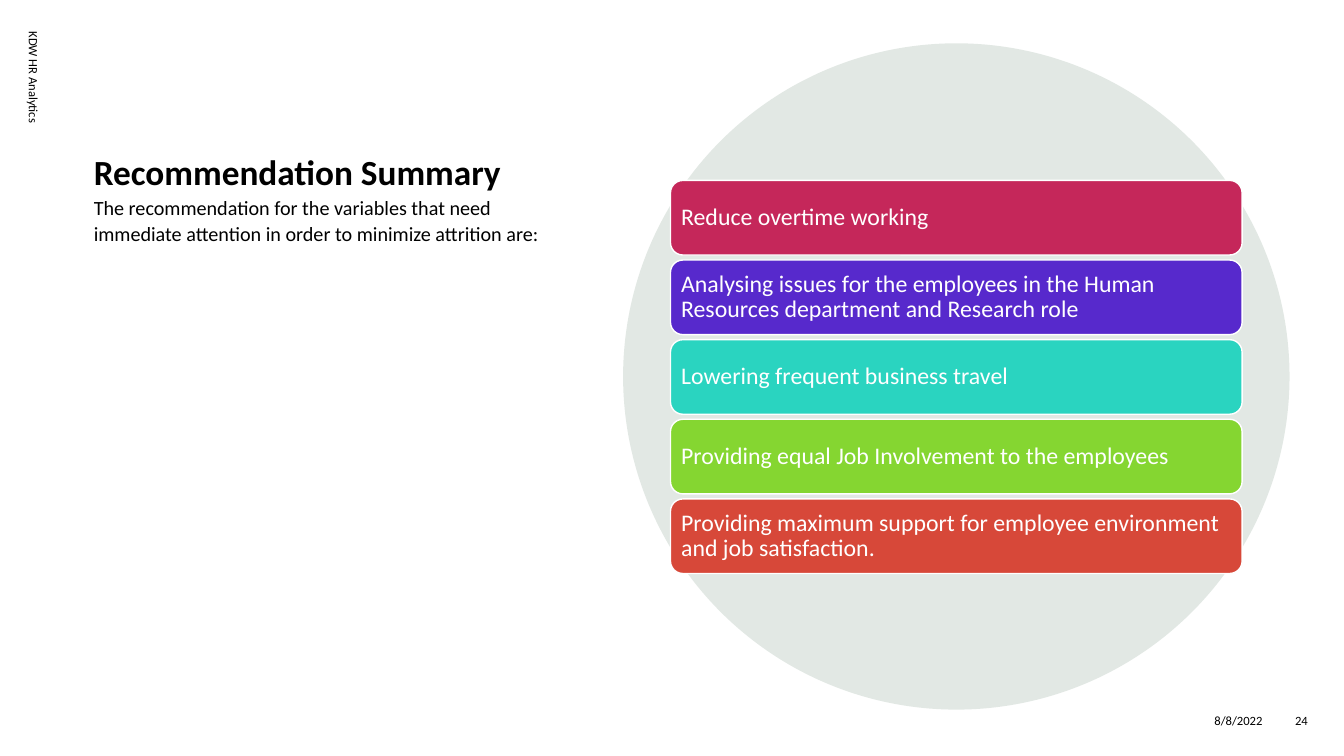
"""Build the recommendation summary slide."""
from pptx import Presentation
from pptx.dml.color import RGBColor
from pptx.enum import shapes, text
from pptx.util import Inches, Pt


def colour(value):
    return RGBColor.from_string(value)


def format_text(para, size, value, bold=False):
    for span in para.runs:
        span.font.name = "Calibri"
        span.font.size = Pt(size)
        span.font.bold = bold
        span.font.color.rgb = colour(value)


deck = Presentation()
deck.slide_width = Inches(13.33)
deck.slide_height = Inches(7.5)
page = deck.slides.add_slide(deck.slide_layouts[5])

title = page.shapes.title
title.left, title.top = Inches(0.83), Inches(0.43)
title.width, title.height = Inches(4.66), Inches(2.47)
frame = title.text_frame
frame.text = (
    "Recommendation Summary\n"
    "The recommendation for the variables that need immediate attention "
    "in order to minimize attrition are:"
)
frame.word_wrap = True
frame.auto_size = text.MSO_AUTO_SIZE.NONE
frame.vertical_anchor = text.MSO_ANCHOR.BOTTOM
frame.margin_bottom = Inches(0.46)
for para, size, bold in zip(frame.paragraphs, (25.2, 14.4), (True, False)):
    para.alignment = text.PP_ALIGN.LEFT
    para.line_spacing = 1.1
    para.space_before = Pt(0)
    format_text(para, size, "000000", bold)

circle = page.shapes.add_shape(
    shapes.MSO_SHAPE.OVAL, Inches(6.18), Inches(0.43), Inches(6.61), Inches(6.61)
)
circle.shadow.inherit = False
circle.fill.solid()
circle.fill.fore_color.rgb = colour("E2E8E4")
circle.line.fill.background()

footers = [
    ("KDW HR Analytics", -1.76, 2.11, 4.19, 90, text.PP_ALIGN.LEFT),
    ("8/8/2022", 10.11, 6.95, 2.51, 0, text.PP_ALIGN.RIGHT),
    ("24", 12.62, 6.95, 0.45, 0, text.PP_ALIGN.RIGHT),
]
for words, left, top, width, rotation, alignment in footers:
    box = page.shapes.add_textbox(Inches(left), Inches(top), Inches(width), Inches(0.4))
    box.rotation = rotation
    frame = box.text_frame
    frame.text = words
    frame.word_wrap = True
    frame.vertical_anchor = text.MSO_ANCHOR.MIDDLE
    para = frame.paragraphs[0]
    para.alignment = alignment
    para.space_after = Pt(6)
    format_text(para, 9, "000000")

recommendations = [
    ("Reduce overtime working", "C5275A"),
    ("Analysing issues for the employees in the Human Resources department and Research role", "5729CC"),
    ("Lowering frequent business travel", "2AD4C0"),
    ("Providing equal Job Involvement to the employees", "85D631"),
    ("Providing maximum support for employee environment and job satisfaction.", "D74839"),
]
bar_top, bar_height, bar_gap = 1.79, 0.74, 0.05
for index, (words, fill) in enumerate(recommendations):
    top = bar_top + index * (bar_height + bar_gap)
    bar = page.shapes.add_shape(
        shapes.MSO_SHAPE.ROUNDED_RECTANGLE,
        Inches(6.65), Inches(top), Inches(5.67), Inches(bar_height),
    )
    bar.shadow.inherit = False
    bar.fill.solid()
    bar.fill.fore_color.rgb = colour(fill)
    bar.line.color.rgb = colour("FFFFFF")
    bar.line.width = Pt(1)
    frame = bar.text_frame
    frame.text = words
    frame.word_wrap = True
    frame.vertical_anchor = text.MSO_ANCHOR.MIDDLE
    frame.margin_left = frame.margin_right = Inches(0.07)
    para = frame.paragraphs[0]
    para.alignment = text.PP_ALIGN.LEFT
    para.line_spacing = 0.9
    format_text(para, 17, "FFFFFF")

deck.save("out.pptx")
